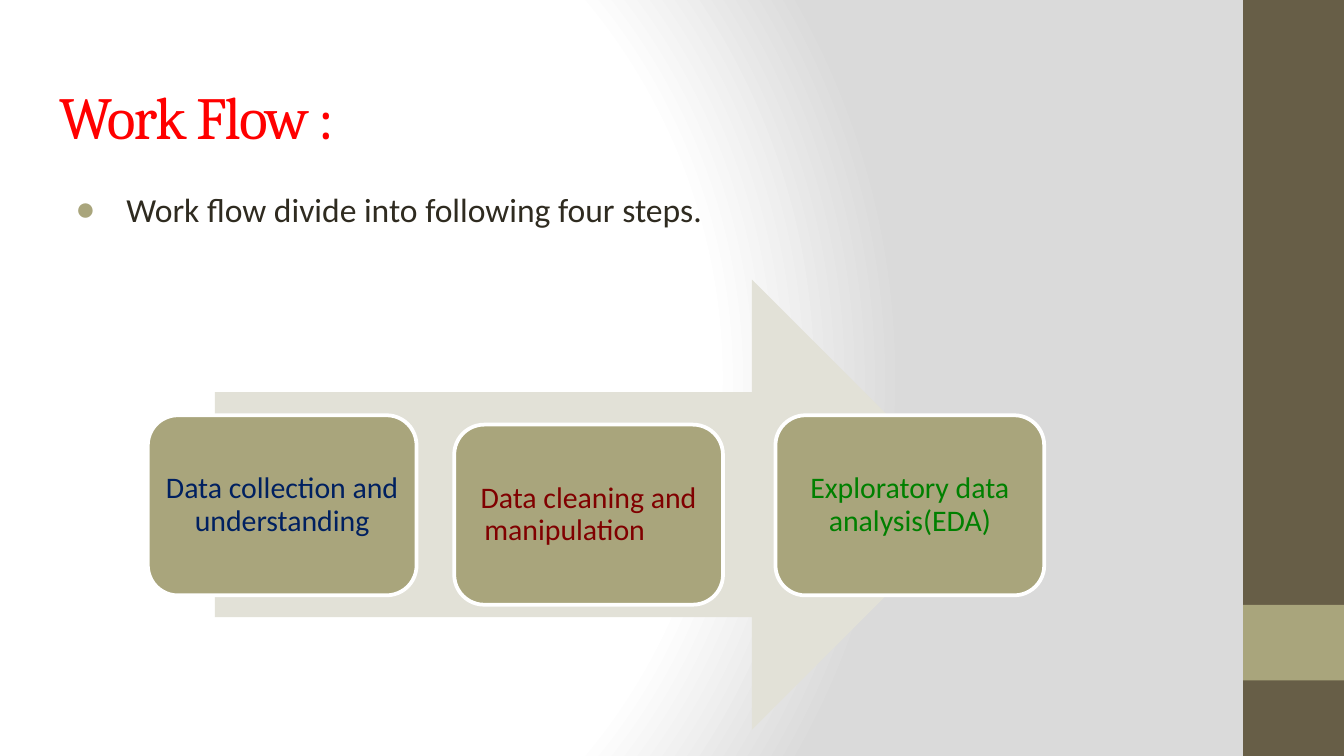
"""Build the work flow slide: title, one bullet and an arrow carrying the steps."""
import pptx
import pptx.dml.color
import pptx.enum.shapes
import pptx.enum.text
import pptx.oxml
import pptx.oxml.ns
import pptx.util

Inches, Pt = pptx.util.Inches, pptx.util.Pt
Shape = pptx.enum.shapes.MSO_SHAPE
Align, Anchor = pptx.enum.text.PP_ALIGN, pptx.enum.text.MSO_ANCHOR

WIDTH = 10
HEIGHT = WIDTH * 9 / 16
TITLE = "Work Flow :"
BULLET = "Work flow divide into following four steps."
STEPS = [
    ("Data collection and understanding", "002060", 1.1, 3.09),
    ("Data cleaning and manipulation\t ", "800000", 3.38, 3.16),
    ("Exploratory data analysis(EDA)", "008000", 5.77, 3.09),
]
STEP_SIZE = (2, 1.34)
ACCENT = "A9A57C"
SIDEBAR = [("675E47", 0, HEIGHT), (ACCENT, 4.5, HEIGHT / 10)]
BACKGROUND = [(0, "FFFFFF"), (75, "FFFFFF"), (100, "DADADA")]
NAMESPACE = pptx.oxml.ns.nsdecls("a")


def rgb(value):
    return pptx.dml.color.RGBColor.from_string(value)


def place(shape, left, top, width, height):
    shape.left, shape.top = Inches(left), Inches(top)
    shape.width, shape.height = Inches(width), Inches(height)


def write(shape, text, *, font="Calibri", size, color, align=Align.LEFT,
          anchor=Anchor.TOP, inset=0.1, line=1.0):
    frame = shape.text_frame
    frame.word_wrap = True
    frame.auto_size = pptx.enum.text.MSO_AUTO_SIZE.NONE
    frame.vertical_anchor = anchor
    frame.margin_left = frame.margin_right = Inches(inset)
    frame.margin_top = frame.margin_bottom = Inches(inset)
    para = frame.paragraphs[0]
    para.alignment, para.line_spacing, para.space_before = align, line, Pt(0)
    span = para.add_run()
    span.text = text
    span.font.name, span.font.size = font, Pt(size)
    span.font.color.rgb = rgb(color)
    return para, span


def add_block(page, kind, box, fill, outline=None):
    shape = page.shapes.add_shape(kind, *map(Inches, box))
    shape.shadow.inherit = False
    shape.fill.solid()
    shape.fill.fore_color.rgb = rgb(fill)
    if outline:
        shape.line.color.rgb = rgb(outline)
        shape.line.width = Pt(2)
    else:
        shape.line.fill.background()
    return shape


def paint_background(page):
    page.background.fill.gradient()
    linear = page.element.find(".//" + pptx.oxml.ns.qn("a:gradFill"))
    stops = "".join(f'<a:gs pos="{position * 1000}"><a:srgbClr val="{color}"/></a:gs>'
                    for position, color in BACKGROUND)
    radial = pptx.oxml.parse_xml(
        f'<a:gradFill {NAMESPACE} rotWithShape="1"><a:gsLst>{stops}</a:gsLst><a:path path="circle">'
        '<a:fillToRect l="20000" t="50000" r="100000" b="50000"/></a:path></a:gradFill>')
    linear.getparent().replace(linear, radial)


def add_bullet(para):
    properties = para._p.get_or_add_pPr()
    properties.set("marL", str(Inches(0.5)))
    properties.set("indent", str(Inches(-0.38)))
    for markup in (f'<a:buClr {NAMESPACE}><a:srgbClr val="{ACCENT}"/></a:buClr>',
                   f'<a:buChar {NAMESPACE} char="●"/>'):
        properties.append(pptx.oxml.parse_xml(markup))


def main():
    deck = pptx.Presentation()
    deck.slide_width, deck.slide_height = Inches(WIDTH), Inches(HEIGHT)
    page = deck.slides.add_slide(deck.slide_layouts[1])
    paint_background(page)

    for color, top, height in SIDEBAR:
        add_block(page, Shape.RECTANGLE, (9.25, top, 0.75, height), color)

    title, body = page.placeholders
    place(title, 0.34, 0.49, 9.32, 0.63)
    _, span = write(title, TITLE, font="Cambria", size=32, color="FF0000")
    span._r.get_or_add_rPr().set("spc", "-100")
    place(body, 0.34, 1.26, 8.92, 3.74)
    para, _ = write(body, BULLET, size=18, color="2F2B20", line=1.15)
    add_bullet(para)

    add_block(page, Shape.RIGHT_ARROW, (1.6, 2.08, 5.67, 3.35), "E2E1D7")
    for text, color, left, top in STEPS:
        step = add_block(page, Shape.ROUNDED_RECTANGLE, (left, top, *STEP_SIZE), ACCENT, "FFFFFF")
        write(step, text, size=16, color=color, align=Align.CENTER,
              anchor=Anchor.MIDDLE, inset=0.07, line=0.9)

    deck.save("out.pptx")


if __name__ == "__main__":
    main()
